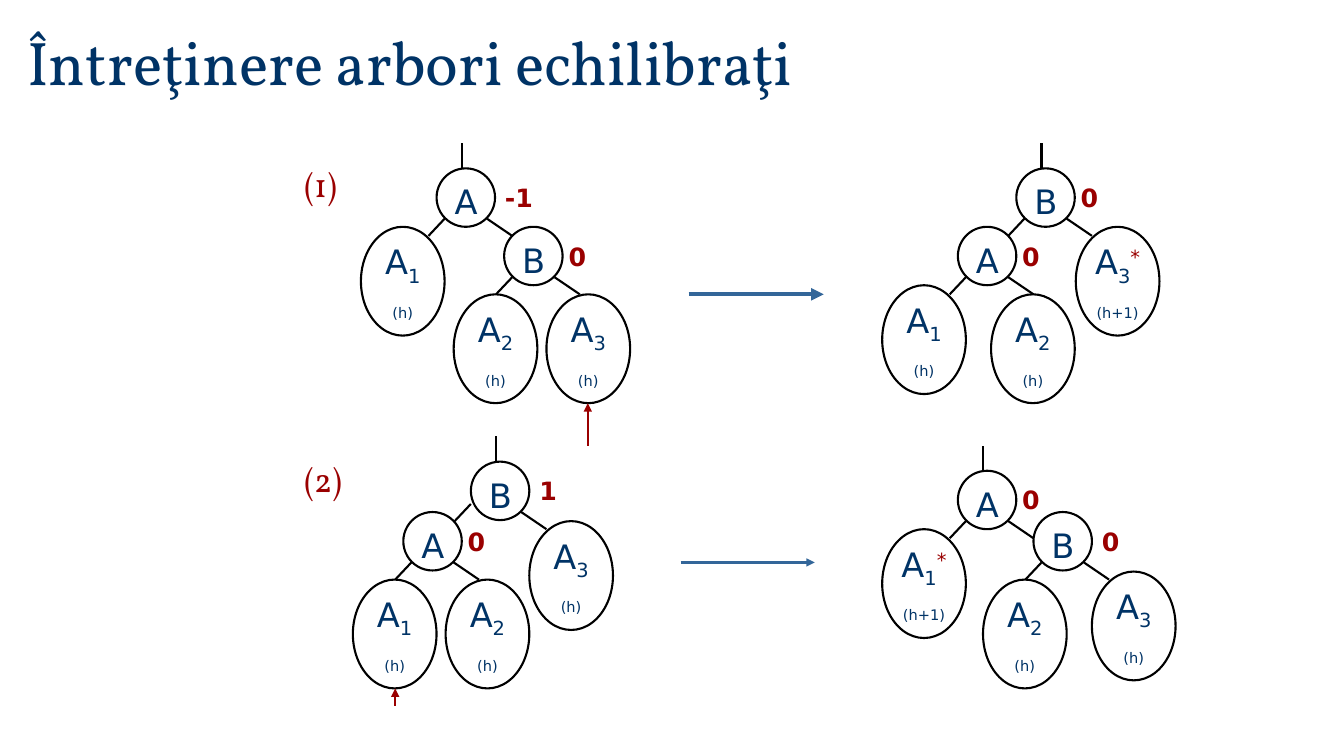
from lxml import etree
from pptx import Presentation
from pptx.dml.color import RGBColor
from pptx.enum.shapes import MSO_CONNECTOR, MSO_SHAPE
from pptx.enum.text import MSO_ANCHOR, MSO_AUTO_SIZE, PP_ALIGN
from pptx.oxml.ns import qn
from pptx.util import Inches, Pt

LINE = MSO_CONNECTOR.STRAIGHT
OVAL = MSO_SHAPE.OVAL
TOP, MIDDLE, BOTTOM = MSO_ANCHOR.TOP, MSO_ANCHOR.MIDDLE, MSO_ANCHOR.BOTTOM
GROW = MSO_AUTO_SIZE.SHAPE_TO_FIT_TEXT
CENTER = PP_ALIGN.CENTER
SANS, SERIF = "DejaVu Sans", "Vollkorn"
NAVY, RED, BLUE, BLACK, WHITE = "003366", "9A0000", "336699", "000000", "FFFFFF"
NODE = 0.58
LEAF_W, LEAF_H = 0.83, 1.08

# Root corner, inner nodes (letter, balance, dx, dy, label gap), leaves (index, mark, height, dx, dy), left edge shift
TREES = [
    ((4.33, 1.67), [("A", "-1", 0, 0, 0.58), ("B", "0", 0.67, 0.58, 0.54)],
     [("1", "", "(h)", -0.75, 0.58), ("2", "", "(h)", 0.17, 1.25), ("3", "", "(h)", 1.09, 1.25)], 0),
    ((10.08, 1.67), [("B", "0", 0, 0, 0.54), ("A", "0", -0.58, 0.58, 0.54)],
     [("1", "", "(h)", -1.33, 1.16), ("2", "", "(h)", -0.25, 1.25), ("3", "*", "(h+1)", 0.59, 0.58)], 0),
    ((4.67, 4.58), [("B", "1", 0, 0, 0.58), ("A", "0", -0.67, 0.5, 0.54)],
     [("1", "", "(h)", -1.17, 1.17), ("2", "", "(h)", -0.25, 1.17), ("3", "", "(h)", 0.58, 0.59)], -0.08),
    ((9.5, 4.67), [("A", "0", 0, 0, 0.54), ("B", "0", 0.75, 0.41, 0.58)],
     [("1", "*", "(h+1)", -0.75, 0.58), ("2", "", "(h)", 0.25, 1.08), ("3", "", "(h)", 1.33, 1)], 0),
]
ARROWS = [
    ((5.83, 4.42), (5.83, 4), RED, 1.5),
    ((6.83, 2.92), (8.17, 2.92), BLUE, 3),
    ((3.92, 7), (3.92, 6.83), RED, 1.5),
    ((6.75, 5.58), (8.08, 5.58), BLUE, 1.5),
]


def rgb(value):
    """Turn a hex string into a colour."""
    return RGBColor.from_string(value)


def set_font(font, name, size, color, bold=False):
    """Set the face, size, colour and weight of a font."""
    font.name, font.size, font.bold = name, Pt(size), bold
    font.color.rgb = rgb(color)


def add_text(shapes, box, text, name, size, color, bold=False, wrap=True, anchor=TOP):
    """Add a one-line text box."""
    sp = shapes.add_textbox(*map(Inches, box))
    tf = sp.text_frame
    tf.word_wrap, tf.auto_size, tf.vertical_anchor = wrap, GROW, anchor
    p = tf.paragraphs[0]
    p.add_run().text = text
    set_font(p.font, name, size, color, bold)


def add_line(shapes, start, end, color=BLACK, width=1.5, arrow=False):
    """Add a straight line, with an arrowhead at its end if asked."""
    sp = shapes.add_connector(LINE, *map(Inches, (*start, *end)))
    sp.line.color.rgb = rgb(color)
    sp.line.width = Pt(width)
    if arrow:
        etree.SubElement(sp.line._get_or_add_ln(), qn("a:tailEnd"), type="triangle")
    etree.SubElement(sp._element.spPr, qn("a:effectLst"))


def add_oval(shapes, x, y, w, h):
    """Add a white ellipse with a black outline."""
    sp = shapes.add_shape(OVAL, *map(Inches, (x, y, w, h)))
    sp.shadow.inherit = False
    sp.fill.solid()
    sp.fill.fore_color.rgb = rgb(WHITE)
    sp.line.color.rgb = rgb(BLACK)
    sp.line.width = Pt(1.5)
    return sp


def add_node(shapes, x, y, letter, balance, gap):
    """Add an inner node with its letter and balance factor."""
    add_oval(shapes, x, y, NODE, NODE)
    add_text(shapes, (x + 0.08, y + 0.08, 0.42, 0.5), letter, SANS, 24, NAVY)
    width = 0.5 if len(balance) > 1 else 0.38
    add_text(shapes, (x + gap, y + 0.09, width, 0.4), balance, SANS, 18, RED, True, False)


def add_leaf(shapes, x, y, index, mark, height):
    """Add a subtree with its indexed name and its height."""
    tf = add_oval(shapes, x, y, LEAF_W, LEAF_H).text_frame
    tf.word_wrap, tf.vertical_anchor = False, MIDDLE
    rows = [(24, [("A", 0), (index, -25), (mark, 30)]), (18, [(height, -25)])]
    for p, (size, runs) in zip((tf.paragraphs[0], tf.add_paragraph()), rows):
        p.alignment = CENTER
        set_font(p.font, SANS, size, NAVY)
        for text, shift in filter(lambda run: run[0], runs):
            r = p.add_run()
            r.text = text
            if shift:
                r._r.get_or_add_rPr().set("baseline", str(shift * 1000))
            if text == "*":
                r.font.color.rgb = rgb(RED)


def add_tree(slide, corner, nodes, leaves, left_shift):
    """Add a grouped tree relative to the corner of its root."""
    shapes = slide.shapes.add_group_shape().shapes
    left, top = corner
    for letter, balance, dx, dy, gap in nodes:
        add_node(shapes, left + dx, top + dy, letter, balance, gap)
    for index, mark, height, dx, dy in leaves:
        add_leaf(shapes, left + dx, top + dy, index, mark, height)
    add_line(shapes, (left + 0.25, top), (left + 0.25, top - 0.25))
    for (_, _, dx, dy, _), shift in zip(nodes, (left_shift, 0)):
        x, y = left + dx, top + dy
        add_line(shapes, (x + 0.5, y + 0.5), (x + 0.75, y + 0.67))
        add_line(shapes, (x + 0.08 + shift, y + 0.5 + shift), (x - 0.08 + shift, y + 0.67 + shift))


def build_slide(prs):
    """Build the slide on balanced trees."""
    slide = prs.slides.add_slide(prs.slide_layouts[6])
    add_text(slide.shapes, (0.17, 0.18, 11.5, 0.84), "Întreţinere arbori echilibraţi",
             SERIF, 44, NAVY, anchor=BOTTOM)
    for tree in TREES:
        add_tree(slide, *tree)
    for start, end, color, width in ARROWS:
        add_line(slide.shapes, start, end, color, width, True)
    for label, y in (("(1)", 1.58), ("(2)", 4.5)):
        add_text(slide.shapes, (2.92, y, 0.67, 0.5), label, SERIF, 24, RED)


prs = Presentation()
prs.slide_width, prs.slide_height = Inches(13.33), Inches(7.5)
build_slide(prs)
prs.save("out.pptx")
